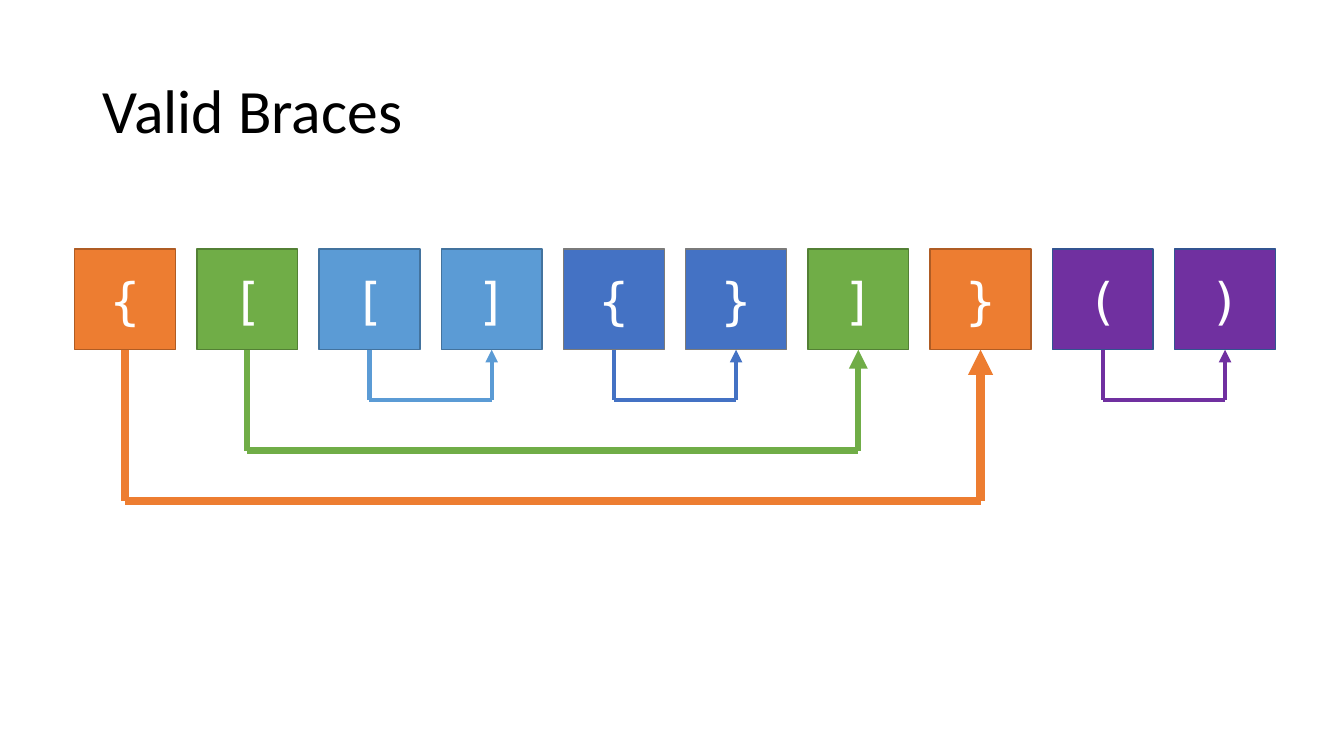
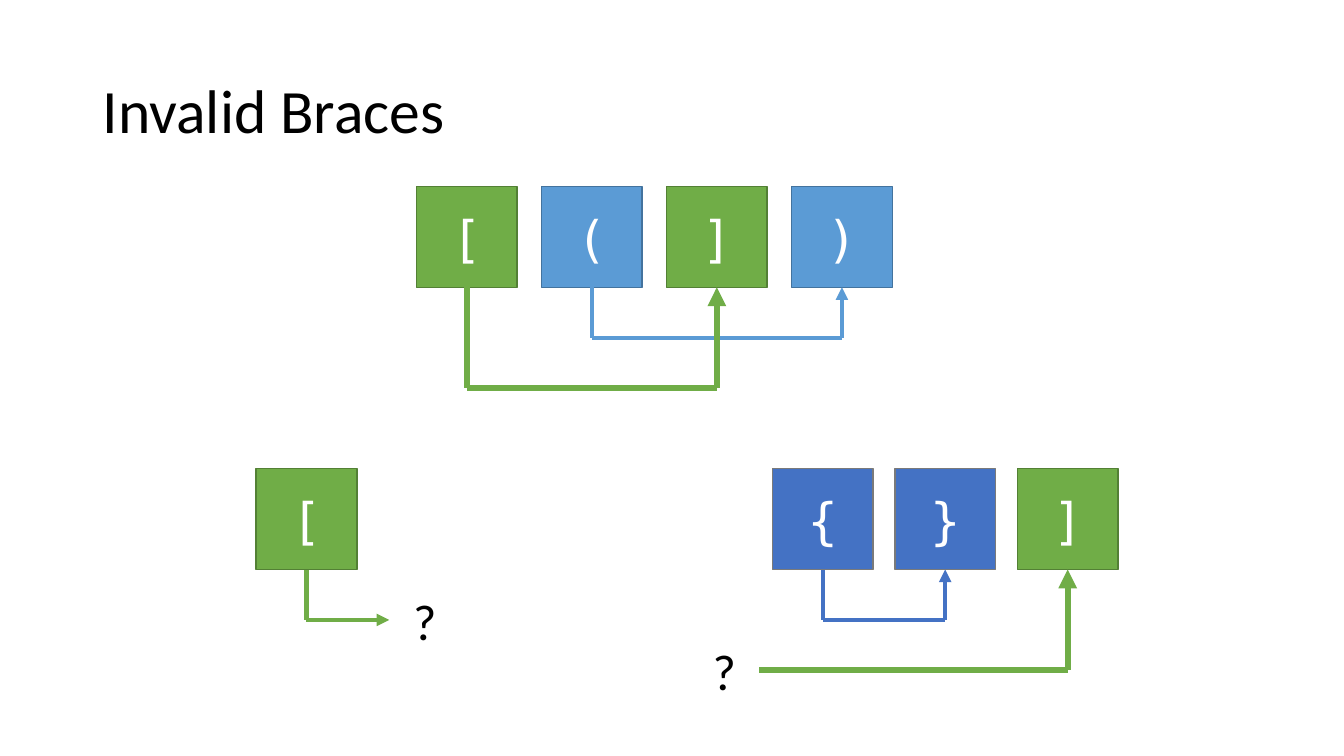
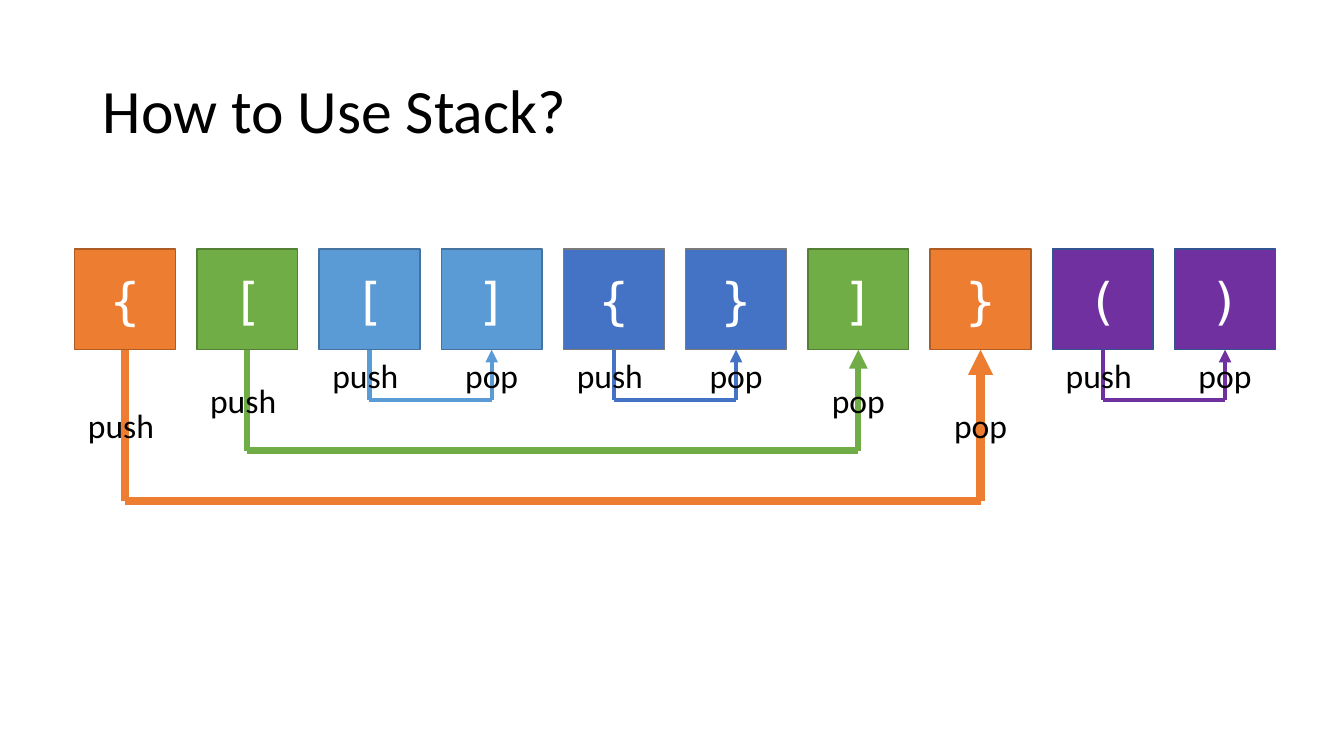
from lxml import etree
from pptx import Presentation
from pptx import util as u
from pptx.dml.color import RGBColor
from pptx.enum import shapes, text
from pptx.oxml.ns import qn

COLORS = {
    "orange": "ED7D31", "green": "70AD47", "sky": "5B9BD5",
    "blue": "4472C4", "purple": "7030A0",
    "orange edge": "AF5C24", "green edge": "538035", "sky edge": "43739E",
    "blue edge": "7A7A7A", "purple edge": "325491",
    "ink": "000000", "paper": "FFFFFF",
}
BODY_FONT, CODE_FONT = "Calibri", "DejaVu Sans Mono"
BOX = 1
LEVEL = 0.5
WEIGHTS = {1: 3, 2: 4.5, 3: 6}
MARK_SIZE = (0.44, 0.71)
LABEL_HEIGHT = 0.5
LABELS = [("push", 0.86, -0.04), ("pop", 0.73, 0)]

NESTED = {
    "first": 0.74, "last": 11.65, "top": 2.47,
    "braces": [("{", "orange"), ("[", "green"), ("[", "sky"), ("]", "sky"),
               ("{", "blue"), ("}", "blue"), ("]", "green"), ("}", "orange"),
               ("(", "purple"), (")", "purple")],
    "pairs": [(2, 3, 1), (4, 5, 1), (1, 6, 2), (0, 7, 3), (8, 9, 1)],
}
CROSSED = {
    "first": 4.13, "last": 7.85, "top": 1.85,
    "braces": [("[", "green"), ("(", "sky"), ("]", "green"), (")", "sky")],
    "pairs": [(1, 3, 1), (0, 2, 2)],
}
UNCLOSED = {
    "first": 2.54, "last": 2.54, "top": 4.65,
    "braces": [("[", "green")],
    "pairs": [(0, None, 1)], "loose end": 3.86, "mark": 4,
}
UNOPENED = {
    "first": 7.66, "last": 10.09, "top": 4.65,
    "braces": [("{", "blue"), ("}", "blue"), ("]", "green")],
    "pairs": [(0, 1, 1), (None, 2, 2)], "loose end": 7.53, "mark": 6.97,
}
SLIDES = [
    ("Valid Braces", [NESTED], False),
    ("Invalid Braces", [CROSSED, UNCLOSED, UNOPENED], False),
    ("How to Use Stack?", [NESTED], True),
]


def color(name):
    return RGBColor.from_string(COLORS[name])


def write(shape, words, size, ink="ink", font=BODY_FONT, align=text.PP_ALIGN.LEFT):
    paragraph = shape.text_frame.paragraphs[0]
    paragraph.text = words
    paragraph.alignment = align
    paragraph.font.name = font
    paragraph.font.size = u.Pt(size)
    paragraph.font.color.rgb = color(ink)
    return paragraph


def add_text(slide, place, words, size, align=text.PP_ALIGN.LEFT, wrap=False):
    box = slide.shapes.add_textbox(*map(u.Inches, place))
    box.text_frame.word_wrap = wrap
    box.text_frame.vertical_anchor = text.MSO_ANCHOR.MIDDLE
    return write(box, words, size, align=align)


def add_brace(slide, left, top, brace, fill):
    box = slide.shapes.add_shape(shapes.MSO_SHAPE.RECTANGLE,
                                 *map(u.Inches, (left, top, BOX, BOX)))
    box.shadow.inherit = False
    box.fill.solid()
    box.fill.fore_color.rgb = color(fill)
    box.line.color.rgb = color(fill + " edge")
    box.line.width = u.Pt(1)
    box.text_frame.vertical_anchor = text.MSO_ANCHOR.MIDDLE
    write(box, brace, 36, "paper", CODE_FONT, text.PP_ALIGN.CENTER)


def add_line(slide, start, end, stroke, weight, arrow=False):
    line = slide.shapes.add_connector(shapes.MSO_CONNECTOR.STRAIGHT,
                                      *map(u.Inches, start + end))
    line.line.color.rgb = color(stroke)
    line.line.width = u.Pt(weight)
    properties = line._element.spPr
    if arrow:
        etree.SubElement(properties.find(qn("a:ln")), qn("a:tailEnd"), type="triangle")
    etree.SubElement(properties, qn("a:effectLst"))


def add_pair(slide, row, centers, pair):
    opening, closing, depth = pair
    bottom = row["top"] + BOX
    turn = bottom + depth * LEVEL
    left, right = (row["loose end"] if i is None else centers[i] for i in (opening, closing))
    stroke = row["braces"][closing if opening is None else opening][1]
    weight = WEIGHTS[depth]
    if opening is not None:
        add_line(slide, (left, bottom), (left, turn), stroke, weight)
    if closing is not None:
        add_line(slide, (right, turn), (right, bottom), stroke, weight, arrow=True)
    add_line(slide, (left, turn), (right, turn), stroke, weight, arrow=closing is None)
    if None in (opening, closing):
        width, height = MARK_SIZE
        add_text(slide, (row["mark"], turn - height / 2, width, height), "?", 36)


def add_labels(slide, row, centers, pair):
    *ends, depth = pair
    middle = row["top"] + BOX + depth * LEVEL / 2
    for end, (word, width, shift) in zip(ends, LABELS):
        place = (centers[end] + shift - width / 2, middle - LABEL_HEIGHT / 2,
                 width, LABEL_HEIGHT)
        add_text(slide, place, word, 24, text.PP_ALIGN.CENTER)


def add_row(slide, row, labelled):
    count = len(row["braces"])
    pitch = (row["last"] - row["first"]) / max(count - 1, 1)
    lefts = [row["first"] + i * pitch for i in range(count)]
    centers = [left + BOX / 2 for left in lefts]
    for left, (brace, fill) in zip(lefts, row["braces"]):
        add_brace(slide, left, row["top"], brace, fill)
    for pair in row["pairs"]:
        add_pair(slide, row, centers, pair)
    if labelled:
        for pair in row["pairs"]:
            add_labels(slide, row, centers, pair)


def main():
    presentation = Presentation()
    presentation.slide_width = u.Inches(13.33)
    presentation.slide_height = u.Inches(7.5)
    for title, rows, labelled in SLIDES:
        slide = presentation.slides.add_slide(presentation.slide_layouts[6])
        heading = add_text(slide, (0.92, 0.4, 11.5, 1.45), title, 44, wrap=True)
        heading.line_spacing = 0.9
        for row in rows:
            add_row(slide, row, labelled)
    presentation.save("out.pptx")


if __name__ == "__main__":
    main()
